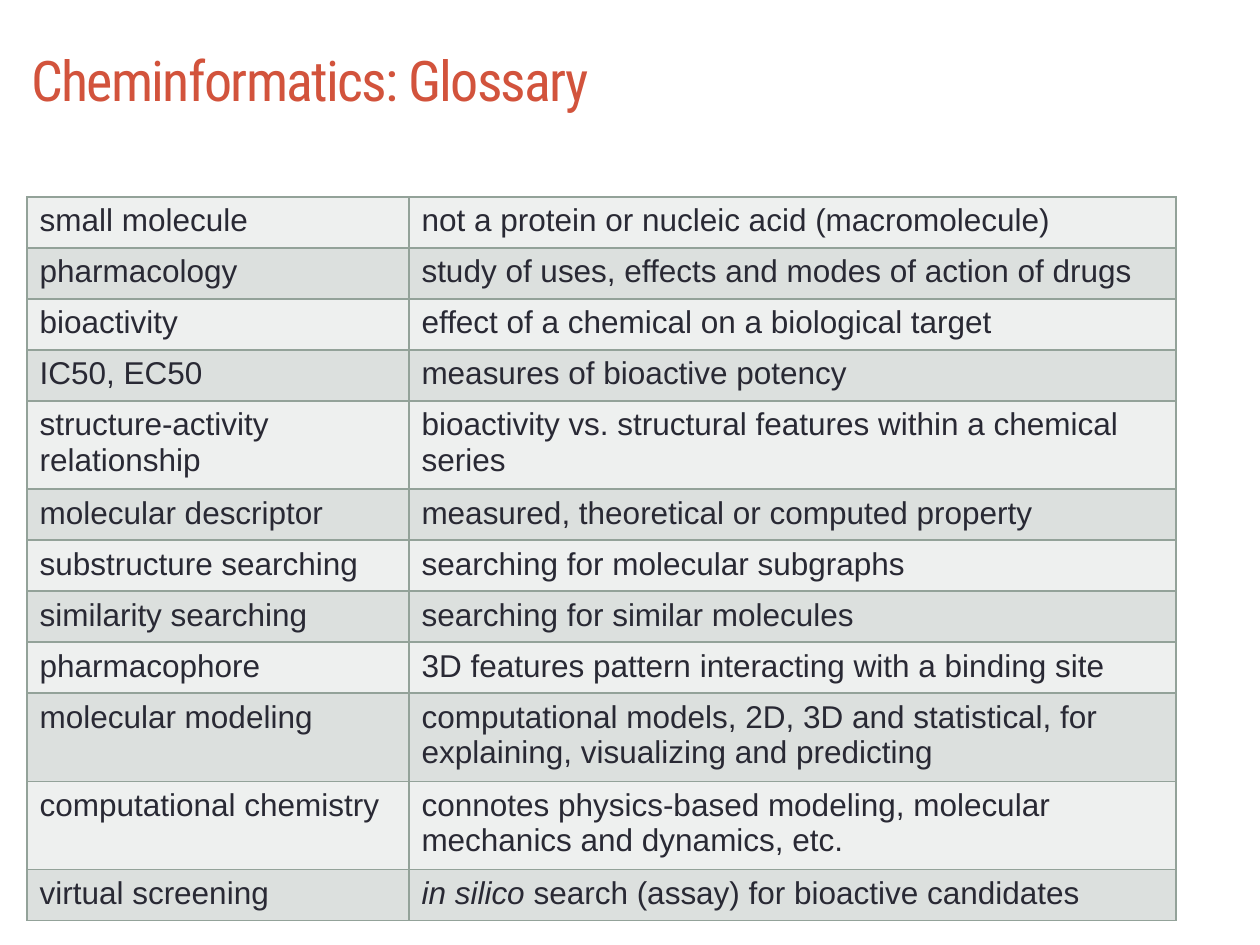
from lxml.etree import SubElement as Sub
from pptx import Presentation
from pptx.dml.color import RGBColor as RGB
from pptx.enum.text import MSO_ANCHOR as Anchor
from pptx.oxml.ns import qn
from pptx.util import Pt

PX = 914400 // 126
HEX = {"title": "D2533C", "text": "292934", "line": "93A299", "odd": "EEF0EF", "even": "DCE0DE"}
TERMS = [
    ("small molecule", "not a protein or nucleic acid (macromolecule)"),
    ("pharmacology", "study of uses, effects and modes of action of drugs"),
    ("bioactivity", "effect of a chemical on a biological target"),
    ("IC50, EC50", "measures of bioactive potency"),
    ("structure-activity relationship", "bioactivity vs. structural features within a chemical series"),
    ("molecular descriptor", "measured, theoretical or computed property"),
    ("substructure searching", "searching for molecular subgraphs"),
    ("similarity searching", "searching for similar molecules"),
    ("pharmacophore", "3D features pattern interacting with a binding site"),
    ("molecular modeling", "computational models, 2D, 3D and statistical, for explaining, visualizing and predicting"),
    ("computational chemistry", "connotes physics-based modeling, molecular mechanics and dynamics, etc."),
    ("virtual screening", "in silico search (assay) for bioactive candidates"),
]
LATIN = "in silico "


def style(para, name, size, color):
    para.font.name = name
    para.font.size = Pt(size)
    para.font.color.rgb = RGB.from_string(HEX[color])


def border(cell):
    props = cell._tc.get_or_add_tcPr()
    for side in ("lnL", "lnR", "lnT", "lnB"):
        line = Sub(props, qn(f"a:{side}"), w=str(Pt(1)))
        fill = Sub(line, qn("a:solidFill"))
        Sub(fill, qn("a:srgbClr"), val=HEX["line"])


deck = Presentation()
deck.slide_width, deck.slide_height = 1260 * PX, 945 * PX
slide = deck.slides.add_slide(deck.slide_layouts[6])

title = slide.shapes.add_textbox(19 * PX, 21 * PX, 1206 * PX, 116 * PX).text_frame
title.word_wrap = True
title.vertical_anchor = Anchor.MIDDLE
para = title.paragraphs[0]
style(para, "Roboto Condensed", 32, "title")
run = para.add_run()
run.text = "Cheminformatics: Glossary"
run._r.get_or_add_rPr().set("spc", "-100")

table = slide.shapes.add_table(len(TERMS), 2, 27 * PX, 197 * PX, 1149 * PX, 612 * PX).table
table.first_row = table.horz_banding = False
for col, width in zip(table.columns, (382, 767)):
    col.width = width * PX

for i, (row, term) in enumerate(zip(table.rows, TERMS)):
    row.height = 51 * PX
    for cell, text in zip(row.cells, term):
        border(cell)
        cell.fill.solid()
        cell.fill.fore_color.rgb = RGB.from_string(HEX["even" if i % 2 else "odd"])
        para = cell.text_frame.paragraphs[0]
        style(para, "Arial", 18, "text")
        if text.startswith(LATIN):
            run = para.add_run()
            run.text = LATIN
            run.font.italic = True
            text = text.removeprefix(LATIN)
        para.add_run().text = text

deck.save("out.pptx")
